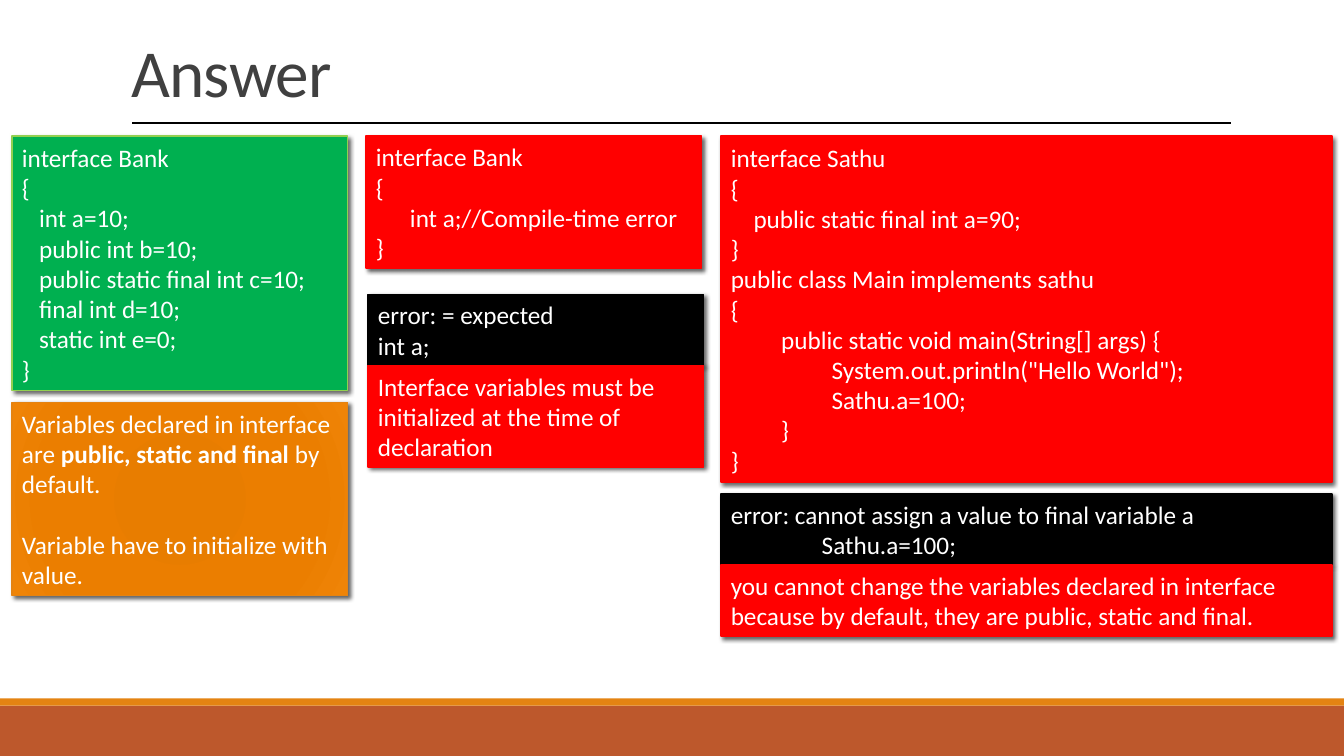
import pptx
import pptx.dml.color
import pptx.enum.shapes
import pptx.enum.text
import pptx.oxml
import pptx.oxml.ns
import pptx.util

Inches = pptx.util.Inches
Pt = pptx.util.Pt

# Content: each paragraph is a list of (text, bold) runs or a plain string
TITLE = "Answer"

VALID_CODE = [
    "interface Bank",
    "{",
    "   int a=10;",
    "   public int b=10;",
    "   public static final int c=10;",
    "   final int d=10;",
    "   static int e=0;",
    "}",
]
DEFAULTS_NOTE = [
    [("Variables declared in interface are\u00a0", False),
     ("public, static and final", True),
     ("\u00a0by default.", False)],
    "Variable have to initialize with value.",
]
UNSET_CODE = [
    "interface Bank",
    "{",
    "      int a;//Compile-time error",
    "}",
]
UNSET_ERROR = ["error: = expected", "int a;"]
UNSET_NOTE = ["Interface variables must be initialized at the time of declaration"]
REASSIGN_CODE = [
    "interface Sathu",
    "{",
    "    public static final int a=90;",
    "}",
    "public class Main implements sathu",
    "{",
    "\tpublic static void main(String[] args) {",
    '\t\tSystem.out.println("Hello World");',
    "\t\tSathu.a=100;",
    "\t}",
    "}",
]
REASSIGN_ERROR = [
    "error: cannot assign a value to final variable a",
    "                Sathu.a=100;",
]
REASSIGN_NOTE = ["you cannot change the variables declared in interface "
                 "because by default, they are public, static and final."]

GREEN, RED, BLACK, ORANGE = "00B050", "FF0000", "000000", "E48312"
ORANGE_STOPS = [(0, "E57B00"), (34, "E87D00"), (70, "EB7E00"), (100, "EF8407")]

# Columns: left, width, then boxes of (gap above, lines, fill, outline, paragraphs)
COLUMNS = [
    (0.12, 3.33, [(0, 8, GREEN, "92D050", VALID_CODE),
                  (0.12, 6, ORANGE_STOPS, ORANGE, DEFAULTS_NOTE)]),
    (3.63, 3.33, [(0, 4, RED, RED, UNSET_CODE)]),
    (3.65, 3.33, [(1.57, 2, BLACK, BLACK, UNSET_ERROR),
                  (0, 3, RED, RED, UNSET_NOTE)]),
    (7.15, 6.06, [(0, 11, RED, RED, REASSIGN_CODE),
                  (0.12, 2, BLACK, BLACK, REASSIGN_ERROR),
                  (0, 2, RED, RED, REASSIGN_NOTE)]),
]
COLUMN_TOP = 1.35
LINE_HEIGHT = 21.8 / 72
BOX_PADDING = 0.1
TAB_STEP = 0.5


def color(value):
    return pptx.dml.color.RGBColor.from_string(value)


def add_xml(parent, body, tag):
    namespaces = pptx.oxml.ns.nsdecls("a")
    element = pptx.oxml.parse_xml(f"<a:{tag} {namespaces}>{body}</a:{tag}>")
    parent.append(element)
    return element


def add_rectangle(page, left, top, width, height, fill):
    box = page.shapes.add_shape(
        pptx.enum.shapes.MSO_SHAPE.RECTANGLE,
        Inches(left), Inches(top), Inches(width), Inches(height))
    box.shadow.inherit = False
    box.fill.solid()
    box.fill.fore_color.rgb = color(fill)
    box.line.fill.background()
    return box


def set_radial_fill(box, stops):
    marks = "".join(f'<a:gs pos="{position * 1000}"><a:srgbClr val="{value}"/></a:gs>'
                    for position, value in stops)
    properties = box.fill._xPr
    solid = properties.find(pptx.oxml.ns.qn("a:solidFill"))
    gradient = add_xml(
        properties,
        f'<a:gsLst>{marks}</a:gsLst><a:path path="circle"><a:fillToRect '
        'l="100000" t="100000" r="100000" b="100000"/></a:path>', "gradFill")
    properties.replace(solid, gradient)


def add_shadow(box):
    effects = box._element.spPr.find(pptx.oxml.ns.qn("a:effectLst"))
    shadow = add_xml(
        effects, '<a:srgbClr val="000000"><a:alpha val="60000"/></a:srgbClr>',
        "outerShdw")
    for name, value in (("blurRad", Pt(3)), ("dist", Pt(2)), ("dir", 45 * 60000),
                        ("algn", "tl"), ("rotWithShape", 0)):
        shadow.set(name, str(value))


def write_paragraph(para, content):
    runs = [(content, False)] if isinstance(content, str) else content
    para.alignment = pptx.enum.text.PP_ALIGN.LEFT
    if any("\t" in text for text, bold in runs):
        stops = "".join(f'<a:tab pos="{Inches(TAB_STEP * step)}" algn="l"/>'
                        for step in (1, 2))
        add_xml(para._p.get_or_add_pPr(), stops, "tabLst")
    for text, bold in runs:
        span = para.add_run()
        span.text = text
        span.font.name = "Calibri"
        span.font.size = Pt(18)
        span.font.bold = bold
        span.font.color.rgb = color("FFFFFF")


def add_panel(page, left, top, width, height, fill, outline, paragraphs):
    radial = isinstance(fill, list)
    box = add_rectangle(page, left, top, width, height, outline if radial else fill)
    if radial:
        set_radial_fill(box, fill)
    box.line.color.rgb = color(outline)
    box.line.width = Pt(1)
    add_shadow(box)
    frame = box.text_frame
    frame.word_wrap = True
    frame.auto_size = pptx.enum.text.MSO_AUTO_SIZE.SHAPE_TO_FIT_TEXT
    for index, content in enumerate(paragraphs):
        para = frame.add_paragraph() if index else frame.paragraphs[0]
        write_paragraph(para, content)
    # The second thought of the note stands one line apart
    if paragraphs is DEFAULTS_NOTE:
        frame.paragraphs[1].space_before = Pt(22)


def add_title(page):
    title = page.shapes.title
    title.left, title.top = Inches(1.2), Inches(0.31)
    title.width, title.height = Inches(11), Inches(0.91)
    frame = title.text_frame
    frame.text = TITLE
    frame.vertical_anchor = pptx.enum.text.MSO_ANCHOR.MIDDLE
    para = frame.paragraphs[0]
    para.alignment = pptx.enum.text.PP_ALIGN.LEFT
    para.line_spacing = 0.85
    span = para.runs[0]
    span.font.name = "Calibri"
    span.font.size = Pt(48)
    span.font.color.rgb = color("404040")
    span.font._element.set("spc", "-50")


def main():
    deck = pptx.Presentation()
    deck.slide_width, deck.slide_height = Inches(13.33), Inches(7.5)
    page = deck.slides.add_slide(deck.slide_layouts[5])

    # Title, rule and footer bands
    add_title(page)
    rule = page.shapes.add_connector(
        pptx.enum.shapes.MSO_CONNECTOR.STRAIGHT,
        Inches(1.31), Inches(1.22), Inches(12.21), Inches(1.22))
    rule.line.color.rgb = color(BLACK)
    rule.line.width = Pt(1)
    add_xml(rule._element.spPr, "", "effectLst")
    add_rectangle(page, 0, 7, 13.33, 0.5, "BD582C")
    add_rectangle(page, 0, 6.93, 13.33, 0.07, ORANGE)

    # Panels stacked down each column
    for left, width, panels in COLUMNS:
        top = COLUMN_TOP
        for gap, lines, fill, outline, paragraphs in panels:
            top += gap
            height = lines * LINE_HEIGHT + BOX_PADDING
            add_panel(page, left, top, width, height, fill, outline, paragraphs)
            top += height

    deck.save("out.pptx")


if __name__ == "__main__":
    main()
